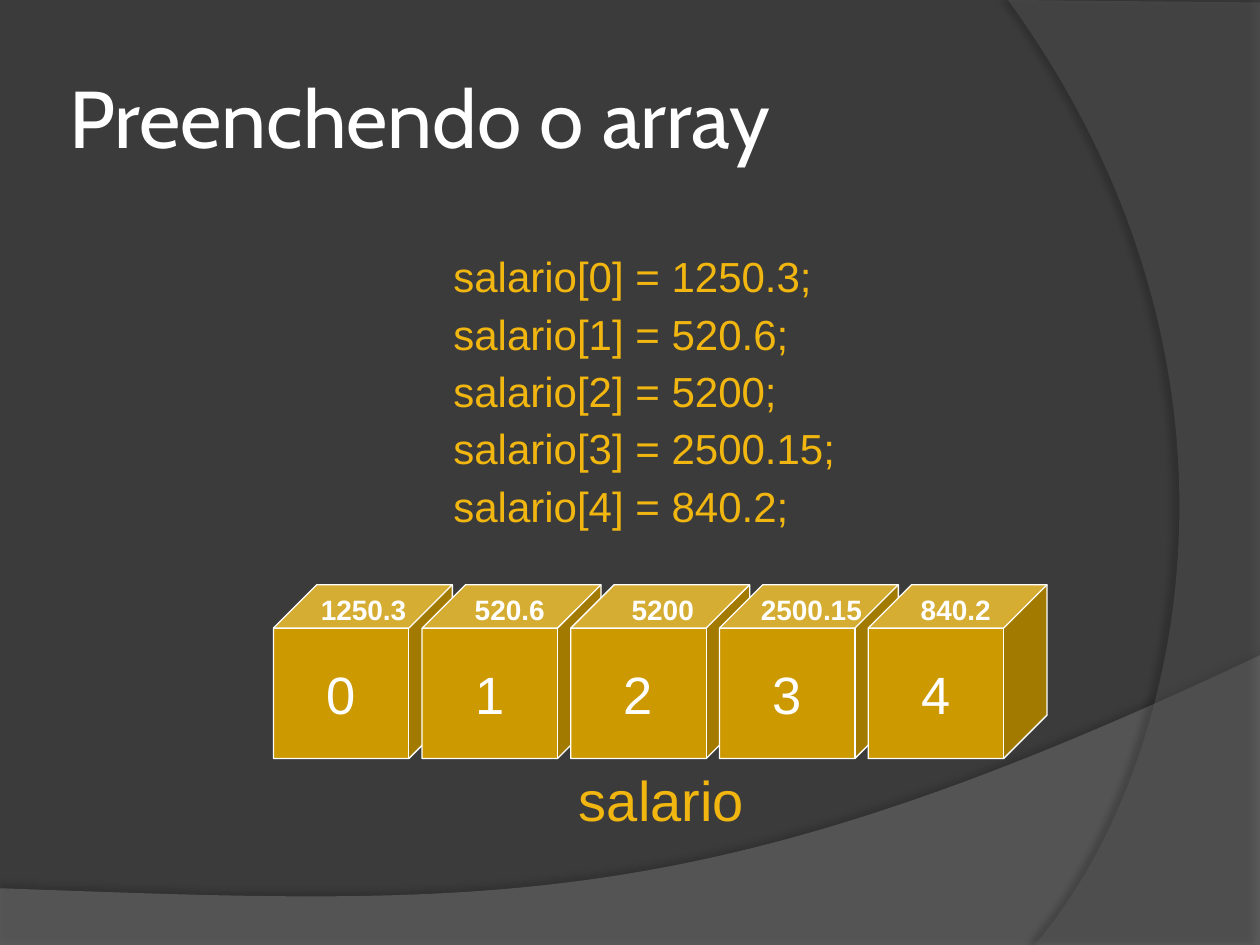
from dataclasses import dataclass

from lxml.etree import SubElement
from pptx import Presentation
from pptx.dml.color import RGBColor
from pptx.enum.shapes import MSO_SHAPE
from pptx.enum.text import MSO_ANCHOR, MSO_AUTO_SIZE, PP_ALIGN
from pptx.oxml import parse_xml
from pptx.oxml.ns import nsdecls, qn
from pptx.util import Inches, Pt

WHITE, GOLD, AMBER = "FFFFFF", "CC9900", "F1B60F"
LEFT, STEP = 2.17, 1.18  # first cube and distance between cubes
UNIT = 1000  # outline units in an inch


@dataclass
class Cell:
    value: str
    left: float  # place of the value on the cube's top face
    width: float


@dataclass
class Wave:
    start: tuple
    line: list  # straight part of the outline
    curve: list  # two control points and the end
    color: str
    alpha: int
    shade: int
    blur: float
    dist: float
    angle: int


CELLS = [
    Cell("1250.3", 2.42, 0.93),
    Cell("520.6", 3.64, 0.81),
    Cell("5200", 4.89, 0.74),
    Cell("2500.15", 5.91, 1.06),
    Cell("840.2", 7.18, 0.81),
]
WAVES = [
    Wave((0, 7.05), [(0, 7.51), (10, 7.51), (10, 5.2)],
         [(5.59, 7.29), (3.91, 7.19), (0, 7.05)], "7F7F7F", 45, 35, 4, 3.5, 270),
    Wave((10, 0.02), [(10, 7.5), (8.21, 7.5)],
         [(9.35, 6.19), (10.18, 3), (8, 0)], "5E5E5E", 40, 45, 4, 4, 180),
]


def rgb(code: str) -> RGBColor:
    return RGBColor.from_string(code)


def write(shape, text: str, size: float, color: str = WHITE, font: str = "Arial",
          bold: bool = False, align=PP_ALIGN.CENTER, anchor=MSO_ANCHOR.TOP,
          gap: float = 0, side: float = 0.1, top: float = 0.05) -> None:
    """Fill a shape with text, one paragraph for each line."""
    frame = shape.text_frame
    frame.text = text
    frame.word_wrap = False
    frame.auto_size = MSO_AUTO_SIZE.NONE
    frame.vertical_anchor = anchor
    frame.margin_left = frame.margin_right = Inches(side)
    frame.margin_top, frame.margin_bottom = Inches(top), Inches(0.05)
    for i, para in enumerate(frame.paragraphs):
        para.alignment = align
        para.space_before = Pt(gap if i else 0)
        para.font.size, para.font.name = Pt(size), font
        para.font.bold = bold
        para.font.color.rgb = rgb(color)


def add_box(slide, x: float, y: float, w: float, h: float, text: str, **style) -> None:
    box = slide.shapes.add_textbox(Inches(x), Inches(y), Inches(w), Inches(h))
    write(box, text, **style)


def scaled(point: tuple) -> tuple:
    return tuple(round(n * UNIT) for n in point)


def add_wave(slide, wave: Wave):
    ends = [scaled(p) for p in [*wave.line, wave.curve[-1]]]
    start = scaled(wave.start)
    pen = slide.shapes.build_freeform(*start, scale=Inches(1) / UNIT)
    pen.add_line_segments(ends, close=True)
    shape = pen.convert_to_shape()

    # Turn the side that ends at the curve's end into a cubic curve
    side = shape.element.spPr.findall(".//" + qn("a:lnTo"))[len(wave.line)]
    x0, y0 = (min(axis) for axis in zip(start, *ends))
    cubic = parse_xml(f'<a:cubicBezTo {nsdecls("a")}/>')
    for x, y in map(scaled, wave.curve):
        SubElement(cubic, qn("a:pt"), x=str(x - x0), y=str(y - y0))
    side.getparent().replace(side, cubic)

    shape.fill.solid()
    shape.fill.fore_color.rgb = rgb(wave.color)
    shape.line.fill.background()
    tint = shape.element.spPr.find(qn("a:solidFill"))[0]
    SubElement(tint, qn("a:alpha"), val=str(wave.alpha * 1000))
    shape.element.spPr.append(parse_xml(
        f'<a:effectLst {nsdecls("a")}><a:outerShdw blurRad="{Pt(wave.blur)}" '
        f'dist="{Pt(wave.dist)}" dir="{wave.angle * 60000}" algn="ctr" rotWithShape="0">'
        f'<a:srgbClr val="000000"><a:alpha val="{wave.shade * 1000}"/></a:srgbClr>'
        '</a:outerShdw></a:effectLst>'))
    return shape


def add_cube(slide, index: int) -> None:
    cube = slide.shapes.add_shape(MSO_SHAPE.CUBE, Inches(LEFT + index * STEP),
                                  Inches(4.64), Inches(1.42), Inches(1.38))
    cube.adjustments[0] = 0.25
    cube.shadow.inherit = False
    cube.fill.solid()
    cube.fill.fore_color.rgb = rgb(GOLD)
    cube.line.color.rgb = rgb(WHITE)
    cube.line.width = Pt(0.75)
    write(cube, str(index), size=30, anchor=MSO_ANCHOR.MIDDLE)


def main() -> None:
    deck = Presentation()
    deck.slide_width, deck.slide_height = Inches(10), Inches(7.5)
    slide = deck.slides.add_slide(deck.slide_layouts[5])
    slide.background.fill.solid()
    slide.background.fill.fore_color.rgb = rgb("3B3B3B")

    # Title, kept in front of the waves
    title = slide.shapes.title
    for wave in WAVES:
        title.element.addprevious(add_wave(slide, wave).element)
    title.left, title.top = Inches(0.5), Inches(0.3)
    title.width, title.height = Inches(8.17), Inches(1.25)
    write(title, "Preenchendo o array", size=46, font="Cabin",
          align=PP_ALIGN.LEFT, anchor=MSO_ANCHOR.MIDDLE, side=0.05)

    # Assignments
    code = "\n".join(f"salario[{i}] = {cell.value};" for i, cell in enumerate(CELLS))
    add_box(slide, 3.5, 1.94, 3.26, 2.35, code, size=24, color=AMBER,
            align=PP_ALIGN.LEFT, gap=4)

    # Array cubes, then the values on top of them
    for i in range(len(CELLS)):
        add_cube(slide, i)
    for cell in CELLS:
        add_box(slide, cell.left, 4.65, cell.width, 0.4, cell.value, size=16, bold=True)

    # Array name
    add_box(slide, 4.49, 6.03, 1.52, 0.64, "salario", size=32, color=AMBER)

    deck.save("out.pptx")


if __name__ == "__main__":
    main()
